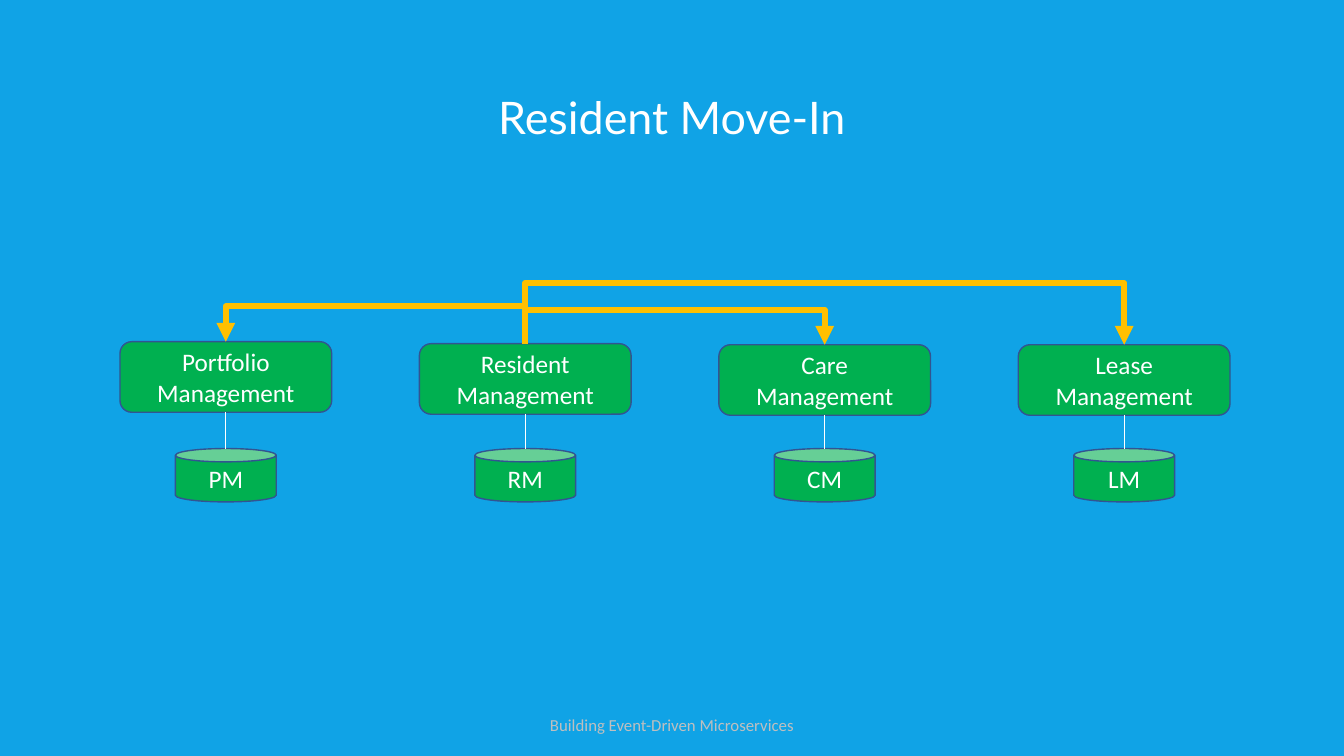
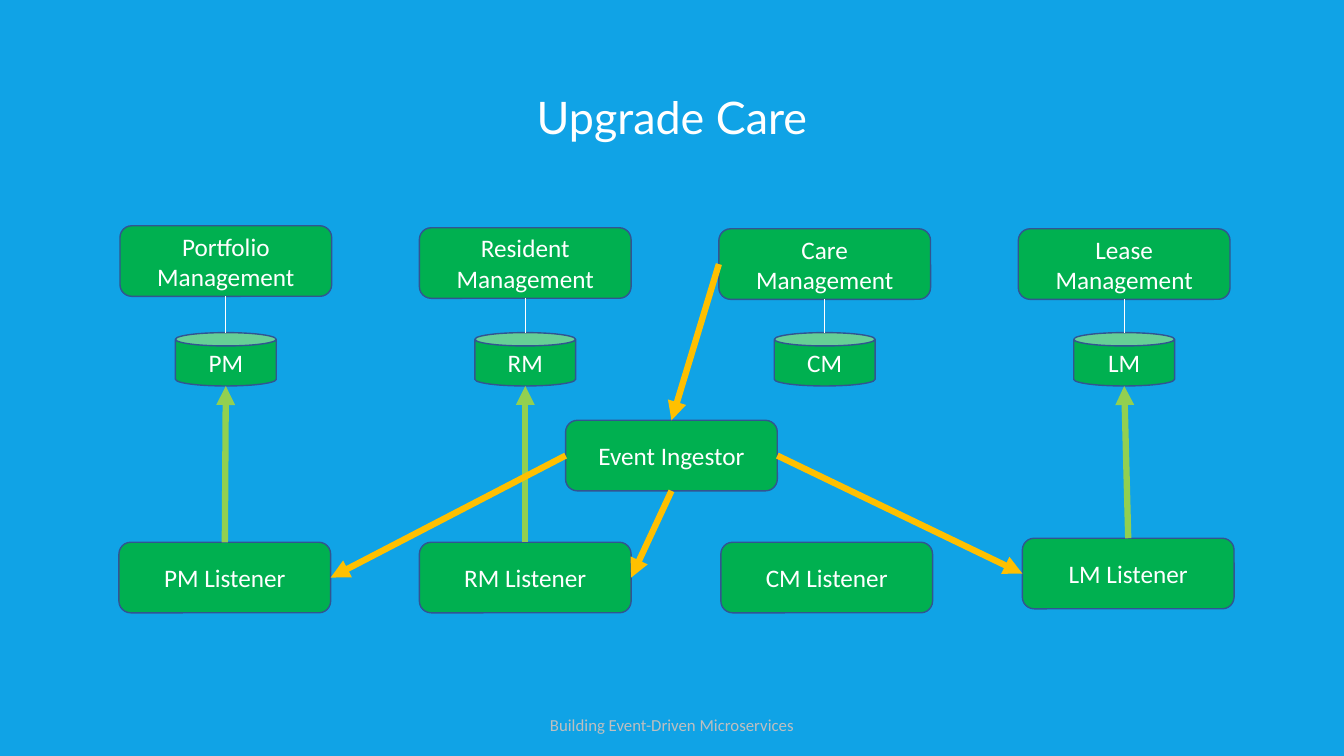
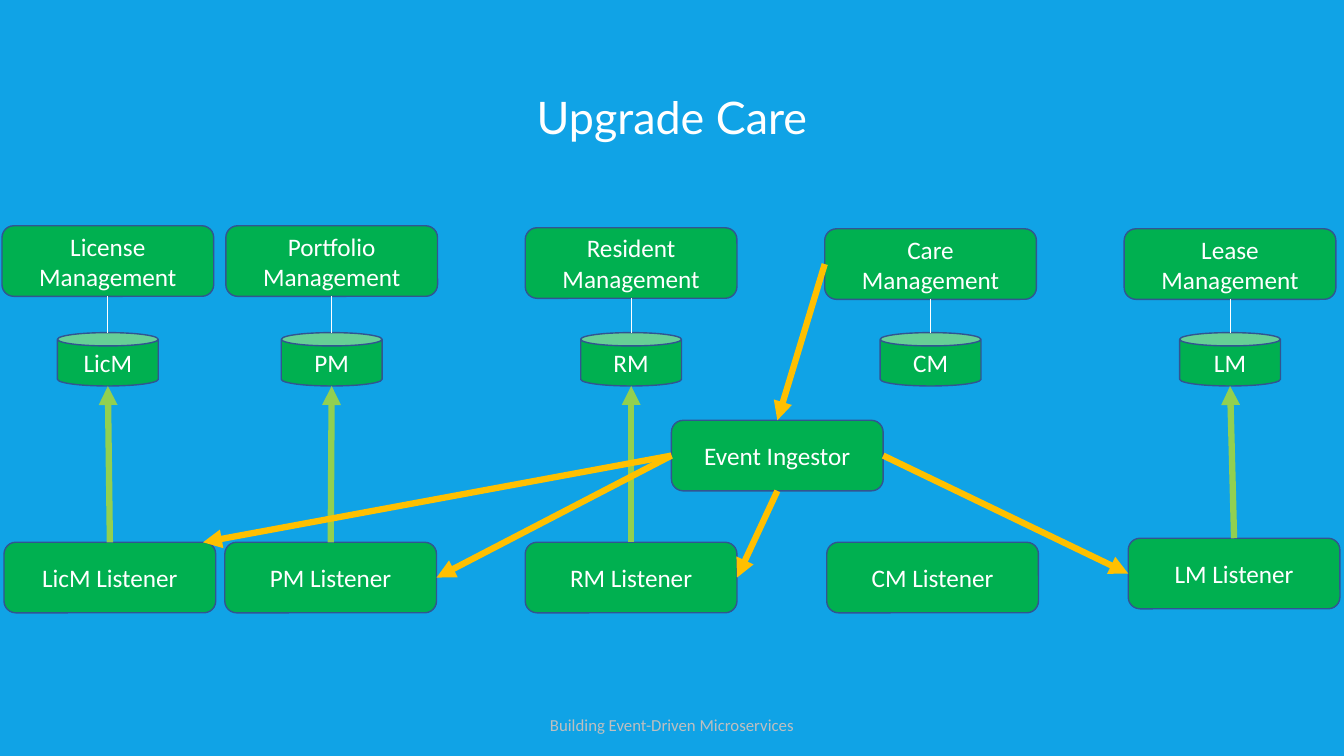
import dataclasses

import lxml.etree
import pptx
import pptx.dml.color
import pptx.enum.shapes
import pptx.enum.text
import pptx.oxml.ns
import pptx.util

Inches = pptx.util.Inches
Pt = pptx.util.Pt
qn = pptx.oxml.ns.qn
PRESET = pptx.enum.shapes.MSO_SHAPE
CONNECTOR = pptx.enum.shapes.MSO_CONNECTOR
AUTO_SIZE = pptx.enum.text.MSO_AUTO_SIZE

COLORS = {
    "background": "10A3E6",
    "node": "00B050",
    "outline": "325491",
    "text": "FFFFFF",
    "footer": "BFBFBF",
    "event": "FFC000",
    "update": "92D050",
}
BODY_FONT = "Calibri"
TITLE_FONT = "Lato"
BOX_WIDTH, BOX_HEIGHT = 2.1, 0.7
STORE_WIDTH, STORE_HEIGHT = 1, 0.53
STORE_DROP = 1.06
FIRST_CENTER, COLUMN_PITCH = 2.24, 2.97
LICENSE_CENTER = 1.07
WIDE_SHIFT = 1.05

TOP, LEFT, BOTTOM, RIGHT = (0.5, 0), (0, 0.5), (0.5, 1), (1, 0.5)
NEAR_TOP_RIGHT = (0.94, 0)


@dataclasses.dataclass
class Service:
    name: str
    code: str
    center: float
    box_offset: float = 0
    listener_shift: float = 0
    listener_top: float = 5.38


def column(index):
    return FIRST_CENTER + index * COLUMN_PITCH


SERVICES = [
    Service("Portfolio", "PM", column(0), 0, -0.01),
    Service("Resident", "RM", column(1), 0.02),
    Service("Care", "CM", column(2), 0.03, 0.02),
    Service("Lease", "LM", column(3), 0.03, 0.04, 5.34),
]
LICENSE = Service("License", "LicM", LICENSE_CENTER, 0, 0.02)


def rgb(name):
    return pptx.dml.color.RGBColor.from_string(COLORS[name])


def write(frame, text, size, font, color):
    paragraph = frame.paragraphs[0]
    paragraph.alignment = pptx.enum.text.PP_ALIGN.CENTER
    run = paragraph.add_run()
    run.text = text
    run.font.size = Pt(size)
    run.font.name = font
    run.font.color.rgb = rgb(color)


def add_label(slide, bounds, text, size, font, color, wrap):
    frame = slide.shapes.add_textbox(*map(Inches, bounds)).text_frame
    frame.word_wrap = wrap
    frame.auto_size = AUTO_SIZE.SHAPE_TO_FIT_TEXT
    write(frame, text, size, font, color)


def add_node(slide, preset, center, top, width, height, text):
    node = slide.shapes.add_shape(
        preset, Inches(center - width / 2), Inches(top), Inches(width), Inches(height)
    )
    node.shadow.inherit = False
    node.fill.solid()
    node.fill.fore_color.rgb = rgb("node")
    node.line.color.rgb = rgb("outline")
    node.line.width = Pt(1)
    node.text_frame.word_wrap = True
    node.text_frame.vertical_anchor = pptx.enum.text.MSO_ANCHOR.MIDDLE
    write(node.text_frame, text, 18, BODY_FONT, "text")
    return node


def add_box(slide, center, top, text):
    return add_node(slide, PRESET.ROUNDED_RECTANGLE, center, top, BOX_WIDTH, BOX_HEIGHT, text)


def anchor(node, side):
    across, down = side
    return node.left + round(node.width * across), node.top + round(node.height * down)


def style_line(connector, color, width, arrow):
    connector.line.color.rgb = rgb(color)
    connector.line.width = Pt(width)
    properties = connector.element.spPr
    if arrow:
        lxml.etree.SubElement(properties.find(qn("a:ln")), qn("a:tailEnd"), type="triangle")
    lxml.etree.SubElement(properties, qn("a:effectLst"))


def connect(slide, source, source_side, target, target_side, color, width=4.5, arrow=True):
    start, end = anchor(source, source_side), anchor(target, target_side)
    connector = slide.shapes.add_connector(CONNECTOR.STRAIGHT, *start, *end)
    style_line(connector, color, width, arrow)


def connect_over(slide, source, target, rail):
    (x1, y1), (x2, y2) = anchor(source, TOP), anchor(target, TOP)
    span, drop = abs(x2 - x1), abs(y2 - y1)
    left = (x1 + x2 - drop) // 2
    top = (y1 + y2 - span) // 2
    connector = slide.shapes.add_connector(
        CONNECTOR.ELBOW, left, top, left + drop, top + span
    )
    frame = connector.element.spPr.find(qn("a:xfrm"))
    frame.set("rot", str(270 * 60000))
    if y2 > y1:
        frame.set("flipH", "1")
    if x2 < x1:
        frame.set("flipV", "1")
    bend = round((Inches(rail) - y1) / (y2 - y1) * 100000)
    adjustments = connector.element.spPr.find(qn("a:prstGeom")).find(qn("a:avLst"))
    lxml.etree.SubElement(adjustments, qn("a:gd"), name="adj1", fmla=f"val {bend}")
    style_line(connector, "event", 4.5, True)


def add_service(slide, service, top, shift=0):
    center = service.center + shift
    box = add_box(slide, center, top + service.box_offset, f"{service.name} Management")
    store = add_node(
        slide, PRESET.CAN, center, top + STORE_DROP, STORE_WIDTH, STORE_HEIGHT, service.code
    )
    connect(slide, box, BOTTOM, store, TOP, "text", 0.5, False)
    return box, store


def add_listener(slide, service, shift):
    center = service.center + service.listener_shift + shift
    return add_box(slide, center, service.listener_top, f"{service.code} Listener")


def start_slide(deck, title):
    slide = deck.slides.add_slide(deck.slide_layouts[6])
    add_label(slide, (5.34, 7.04, 2.65, 0.3), "Building Event-Driven Microservices",
              12, BODY_FONT, "footer", False)
    add_label(slide, (4.36, 0.84, 4.61, 0.64), title, 32, TITLE_FONT, "text", True)
    return slide


def add_move_in(deck):
    slide = start_slide(deck, "Resident Move-In")
    boxes = {s.code: add_service(slide, s, 3.39)[0] for s in SERVICES}
    for code, rail in (("LM", 2.8), ("CM", 3.07), ("PM", 3.04)):
        connect_over(slide, boxes["RM"], boxes[code], rail)


def add_upgrade_care(deck, with_license):
    slide = start_slide(deck, "Upgrade Care")
    shift = WIDE_SHIFT if with_license else 0
    placed = [(service, shift) for service in SERVICES]
    if with_license:
        placed.append((LICENSE, 0))
    boxes, listeners = {}, {}
    for service, offset in placed:
        code = service.code
        boxes[code], store = add_service(slide, service, 2.24, offset)
        listeners[code] = add_listener(slide, service, offset)
        if code != "CM":
            connect(slide, listeners[code], TOP, store, BOTTOM, "update")
    ingestor = add_box(slide, 6.66 + shift, 4.17, "Event Ingestor")
    connect(slide, boxes["CM"], LEFT, ingestor, TOP, "event")
    routes = [("LM", RIGHT, LEFT), ("RM", BOTTOM, RIGHT), ("PM", LEFT, RIGHT)]
    if with_license:
        routes.append(("LicM", LEFT, NEAR_TOP_RIGHT))
    for code, exit_side, entry_side in routes:
        connect(slide, ingestor, exit_side, listeners[code], entry_side, "event")


def main():
    deck = pptx.Presentation()
    deck.slide_width = Inches(13.33)
    deck.slide_height = Inches(7.5)
    backdrop = deck.slide_master.background.fill
    backdrop.solid()
    backdrop.fore_color.rgb = rgb("background")
    add_move_in(deck)
    add_upgrade_care(deck, with_license=False)
    add_upgrade_care(deck, with_license=True)
    deck.save("out.pptx")


if __name__ == "__main__":
    main()
